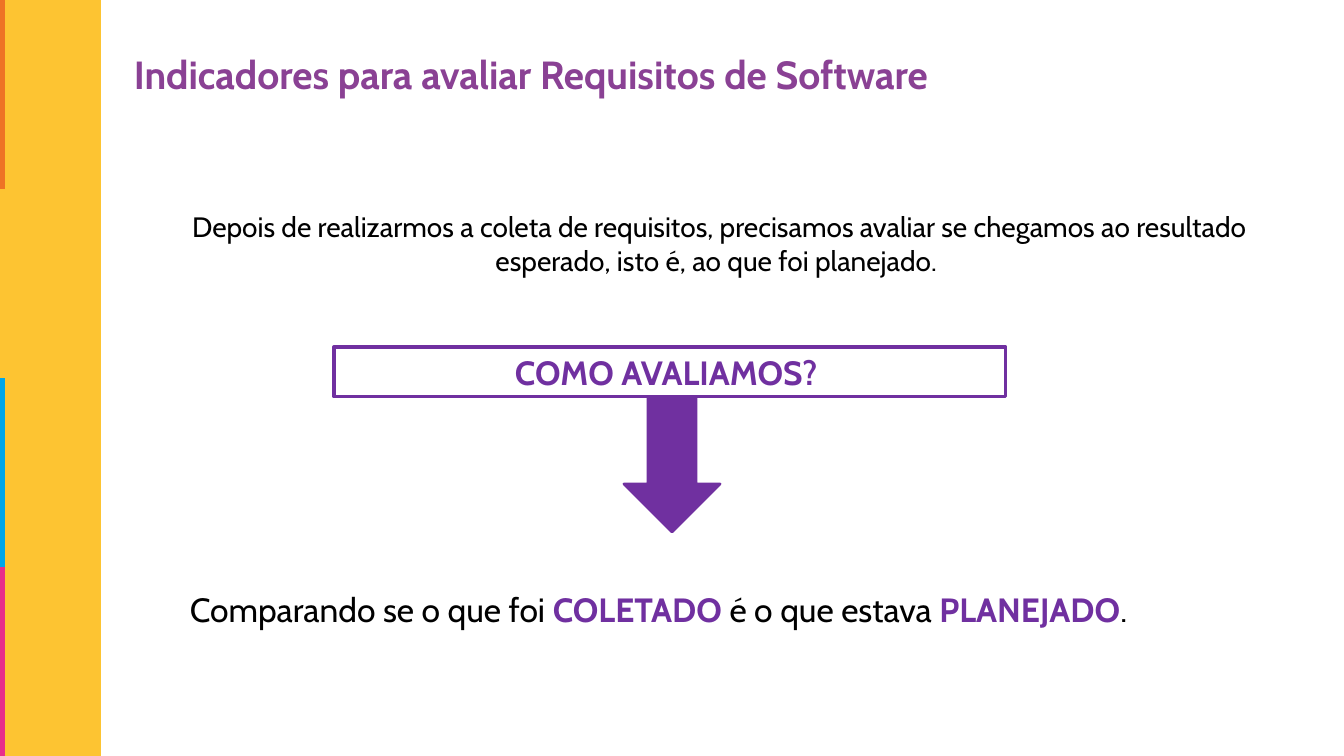
from pptx import Presentation
from pptx.dml.color import RGBColor
from pptx.enum.shapes import MSO_SHAPE
from pptx.enum.text import MSO_ANCHOR, PP_ALIGN
from pptx.util import Emu, Pt

RECTANGLE, DOWN_ARROW = MSO_SHAPE.RECTANGLE, MSO_SHAPE.DOWN_ARROW
LEFT, CENTER = PP_ALIGN.LEFT, PP_ALIGN.CENTER
TOP = MSO_ANCHOR.TOP

# Content: each text is a list of (words, style) spans
TITLE = [("Indicadores para avaliar Requisitos de Software", "title")]
INTRO = [("Depois de realizarmos a coleta de requisitos, precisamos avaliar se chegamos "
          "ao resultado esperado, isto é, ao que foi planejado. ", "body")]
QUESTION = [("COMO AVALIAMOS? ", "strong")]
ANSWER = [
    ("Comparando se o que foi ", "large"),
    ("COLETADO ", "strong"),
    ("é o que estava ", "large"),
    ("PLANEJADO", "strong"),
    (".", "large"),
]

# Theme: colours and type sizes
THEME = {
    "font": "Cabin",
    "band": "FDC432",
    "stripes": ["EE7325", "FDC432", "00A6E9", "E82E8A"],
    "accent": "7030A0",
    "styles": {
        "title": {"size": 28, "bold": True, "color": "8A4194"},
        "body": {"size": 20, "bold": False, "color": "000000"},
        "large": {"size": 24, "bold": False, "color": "000000"},
        "strong": {"size": 24, "bold": True, "color": "7030A0"},
    },
}

# Layout in px
EMU_PER_PX = 914400 / 100.8
SLIDE_W, SLIDE_H = 1344, 756
BAND_W, STRIPE_W = 101, 5
TEXTS = [
    (TITLE, (124, 45, 1154, 70), LEFT),
    (INTRO, (139, 205, 1161, 78), CENTER),
    (ANSWER, (180, 584, 1078, 50), LEFT),
]
QUESTION_BOX = (334, 347, 672, 50)
ARROW_BOX = (624, 397, 96, 135)


def px(value):
    return Emu(round(value * EMU_PER_PX))


def add_shape(page, kind, place, fill=None, line=None, line_width=0):
    shape = page.shapes.add_shape(kind, *map(px, place))
    shape.shadow.inherit = False
    if fill:
        shape.fill.solid()
        shape.fill.fore_color.rgb = RGBColor.from_string(fill)
    else:
        shape.fill.background()
    if line:
        shape.line.color.rgb = RGBColor.from_string(line)
        shape.line.width = Pt(line_width)
    else:
        shape.line.fill.background()
    return shape


def write_text(box, spans, align):
    frame = box.text_frame
    frame.word_wrap = True
    frame.vertical_anchor = TOP
    para = frame.paragraphs[0]
    para.alignment = align
    for words, style_name in spans:
        style = THEME["styles"][style_name]
        span = para.add_run()
        span.text = words
        font_format = {"name": THEME["font"], "size": Pt(style["size"]), "bold": style["bold"]}
        for name, value in font_format.items():
            setattr(span.font, name, value)
        span.font.color.rgb = RGBColor.from_string(style["color"])


def main():
    deck = Presentation()
    deck.slide_width, deck.slide_height = px(SLIDE_W), px(SLIDE_H)
    page = deck.slides.add_slide(deck.slide_layouts[6])

    # Side band with equal stripes along its left edge
    add_shape(page, RECTANGLE, (0, 0, BAND_W, SLIDE_H), THEME["band"])
    stripe_h = SLIDE_H / len(THEME["stripes"])
    for index, color in enumerate(THEME["stripes"]):
        add_shape(page, RECTANGLE, (0, index * stripe_h, STRIPE_W, stripe_h), color)

    # Title, introduction and answer
    for spans, place, align in TEXTS:
        write_text(page.shapes.add_textbox(*map(px, place)), spans, align)

    # Question with the arrow leading to the answer
    question = add_shape(page, RECTANGLE, QUESTION_BOX, line=THEME["accent"], line_width=2.25)
    write_text(question, QUESTION, CENTER)
    add_shape(page, DOWN_ARROW, ARROW_BOX, THEME["accent"], THEME["accent"], 2)

    deck.save("out.pptx")


if __name__ == "__main__":
    main()
